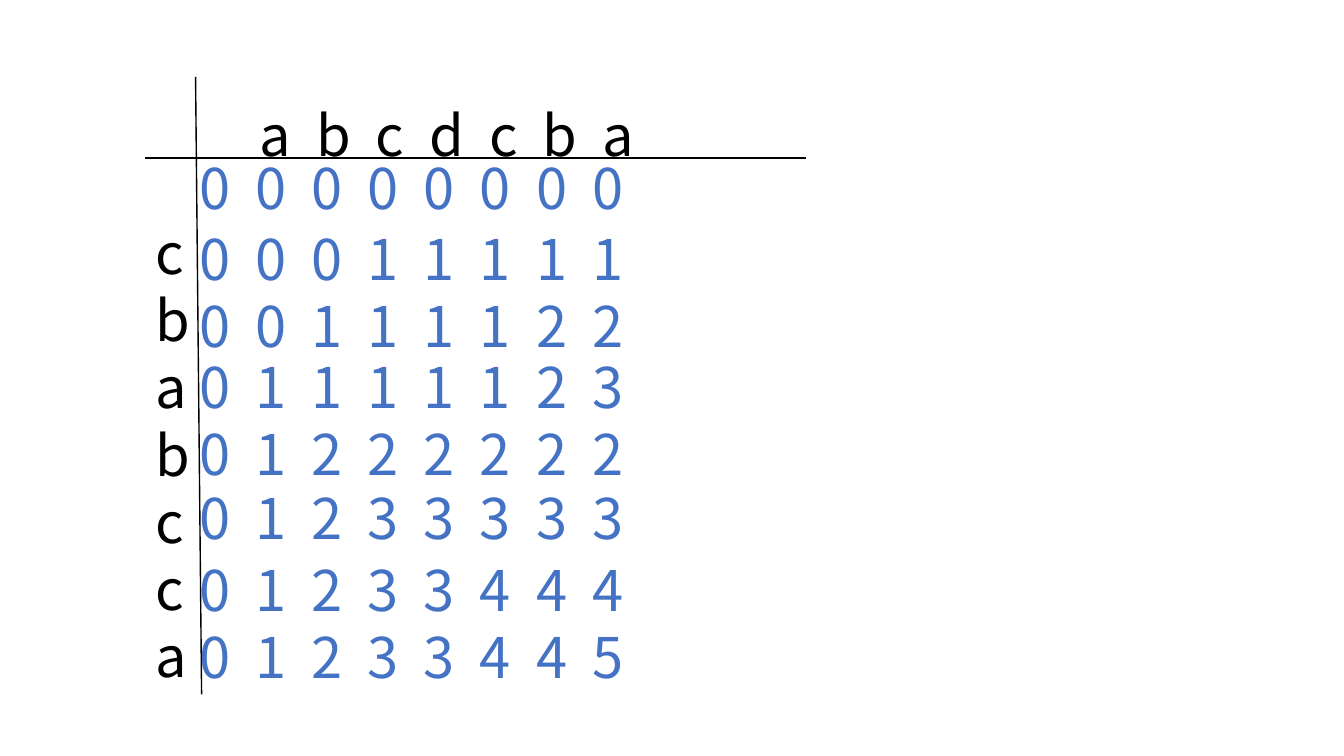
import dataclasses
import pptx
import pptx.dml.color
import pptx.enum.shapes
import pptx.enum.text
import pptx.oxml
import pptx.oxml.ns
import pptx.util

Pt = pptx.util.Pt
RGB = pptx.dml.color.RGBColor


@dataclasses.dataclass(frozen=True)
class Theme:
    font: str = "Noto Sans CJK SC"
    size: float = 40
    pitch: float = 48
    line: float = 1
    ink: RGB = RGB(0, 0, 0)
    count: RGB = RGB(0x44, 0x72, 0xC4)


THEME = Theme()
GAP = "  "
ACROSS = "abcdcba"
DOWN = "cbabcca"
ROWS = [
    (102.24, "00000000"),
    (153.36, "00011111"),
    (200.88, "00111122"),
    (244.8, "01111123"),
    (292.32, "01222222"),
    (338.4, "01233333"),
    (389.52, "01233444"),
    (437.76, "01233445"),
]


def add_text(slide, lines, left, top, width, height, color):
    box = slide.shapes.add_textbox(Pt(left), Pt(top), Pt(width), Pt(height))
    frame = box.text_frame
    frame.word_wrap = True
    frame.auto_size = pptx.enum.text.MSO_AUTO_SIZE.SHAPE_TO_FIT_TEXT
    frame.margin_top, frame.margin_bottom = Pt(7.1), Pt(0)
    frame.text = "\n".join(lines)
    for para in frame.paragraphs:
        para.line_spacing = Pt(THEME.pitch)
        para.font.name = THEME.font
        para.font.size = Pt(THEME.size)
        para.font.color.rgb = color


def add_rule(slide, *ends):
    kind = pptx.enum.shapes.MSO_CONNECTOR.STRAIGHT
    rule = slide.shapes.add_connector(kind, *map(Pt, ends))
    rule.line.color.rgb = THEME.ink
    rule.line.width = Pt(THEME.line)
    props = rule._element.spPr
    props.append(pptx.oxml.parse_xml(
        "<a:effectLst %s/>" % pptx.oxml.ns.nsdecls("a")))


def main():
    deck = pptx.Presentation()
    deck.slide_width, deck.slide_height = Pt(960), Pt(540)
    slide = deck.slides.add_slide(deck.slide_layouts[6])
    add_text(slide, [GAP.join(ACROSS)], 178.56, 64.8, 489.6, 55.4, THEME.ink)
    add_text(slide, DOWN, 103.68, 149.04, 59, 346.4, THEME.ink)
    for top, row in ROWS:
        add_text(slide, [GAP.join(row)], 135.36, top, 344.9, 55.4, THEME.count)
    add_rule(slide, 103.68, 113, 576, 113)
    add_rule(slide, 139.7, 55, 144, 496)
    deck.save("out.pptx")


main()
